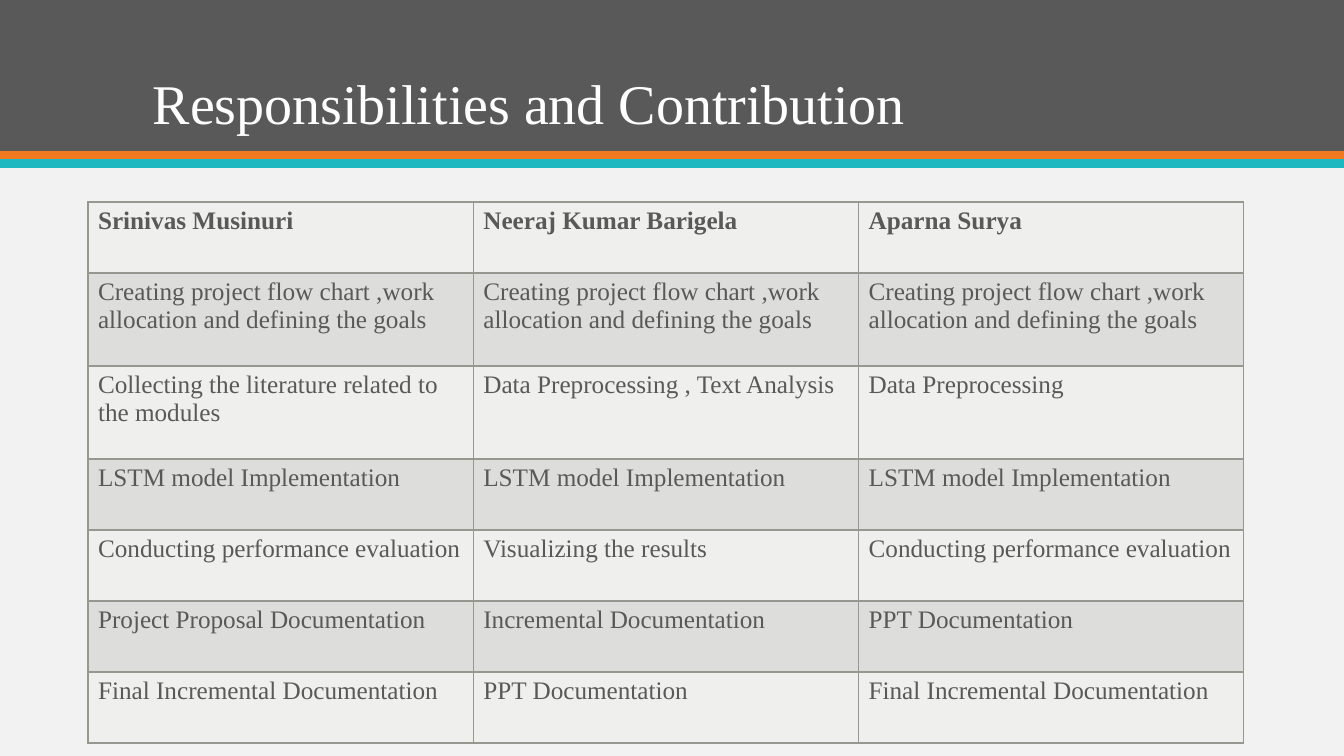
from lxml import etree
from pptx import Presentation
from pptx.dml.color import RGBColor
from pptx.enum.shapes import MSO_SHAPE
from pptx.enum.text import MSO_ANCHOR
from pptx.oxml.ns import qn
from pptx.util import Pt

RECT = MSO_SHAPE.RECTANGLE
BOTTOM = MSO_ANCHOR.BOTTOM
PX = 914400 / 100.8
FONT = "Times New Roman"
GRAY = "595959"
BORDER = "969890"
ROW_FILLS = ["EFEFEE", "DDDDDB"]


def px(n):
    return round(n * PX)


def rgb(color):
    return RGBColor.from_string(color)


prs = Presentation()
prs.slide_width, prs.slide_height = px(1344), px(756)
s = prs.slides.add_slide(prs.slide_layouts[6])
s.background.fill.solid()
s.background.fill.fore_color.rgb = rgb("F2F2F2")

# Header band and its two stripes
for top, height, color in [(0, 151, GRAY), (151, 9, "EF7920"), (159, 9, "1EB8C1")]:
    band = s.shapes.add_shape(RECT, 0, px(top), px(1344), px(height))
    band.shadow.inherit = False
    band.fill.solid()
    band.fill.fore_color.rgb = rgb(color)
    band.line.fill.background()

# Title
tf = s.shapes.add_textbox(px(143), px(28), px(1058), px(114)).text_frame
tf.word_wrap = True
tf.vertical_anchor = BOTTOM
p = tf.paragraphs[0]
p.line_spacing = 0.9
r = p.add_run()
r.text = "Responsibilities and Contribution"
r.font.size = Pt(40)
r.font.name = FONT
r.font.color.rgb = rgb("FFFFFF")

# Responsibilities table
goals = "Creating project flow chart ,work allocation and defining the goals"
lstm = "LSTM model Implementation"
evaluation = "Conducting performance evaluation"
ppt = "PPT Documentation"
final = "Final Incremental Documentation"
rows = [
    ["Srinivas Musinuri", "Neeraj Kumar Barigela", "Aparna Surya"],
    [goals] * 3,
    ["Collecting the literature related to the modules",
     "Data Preprocessing , Text Analysis", "Data Preprocessing"],
    [lstm] * 3,
    [evaluation, "Visualizing the results", evaluation],
    ["Project Proposal Documentation", "Incremental Documentation", ppt],
    [final, ppt, final],
]
row_heights = [71, 93, 93, 71, 71, 71, 71]
table_width = 1156

table = s.shapes.add_table(len(rows), 3, px(88), px(202),
                           px(table_width), px(sum(row_heights))).table
for column in table.columns:
    column.width = px(table_width / 3)
for i, (texts, height) in enumerate(zip(rows, row_heights)):
    table.rows[i].height = px(height)
    for j, text in enumerate(texts):
        cell = table.cell(i, j)
        r = cell.text_frame.paragraphs[0].add_run()
        r.text = text
        r.font.size = Pt(18)
        r.font.name = FONT
        r.font.bold = i == 0
        r.font.color.rgb = rgb(GRAY)

        # Borders must precede the fill in the cell properties
        tcPr = cell._tc.get_or_add_tcPr()
        for side in ["lnL", "lnR", "lnT", "lnB"]:
            ln = etree.SubElement(tcPr, qn(f"a:{side}"), w=str(Pt(1)))
            fill = etree.SubElement(ln, qn("a:solidFill"))
            etree.SubElement(fill, qn("a:srgbClr"), val=BORDER)
        cell.fill.solid()
        cell.fill.fore_color.rgb = rgb(ROW_FILLS[i % 2])

prs.save("out.pptx")
